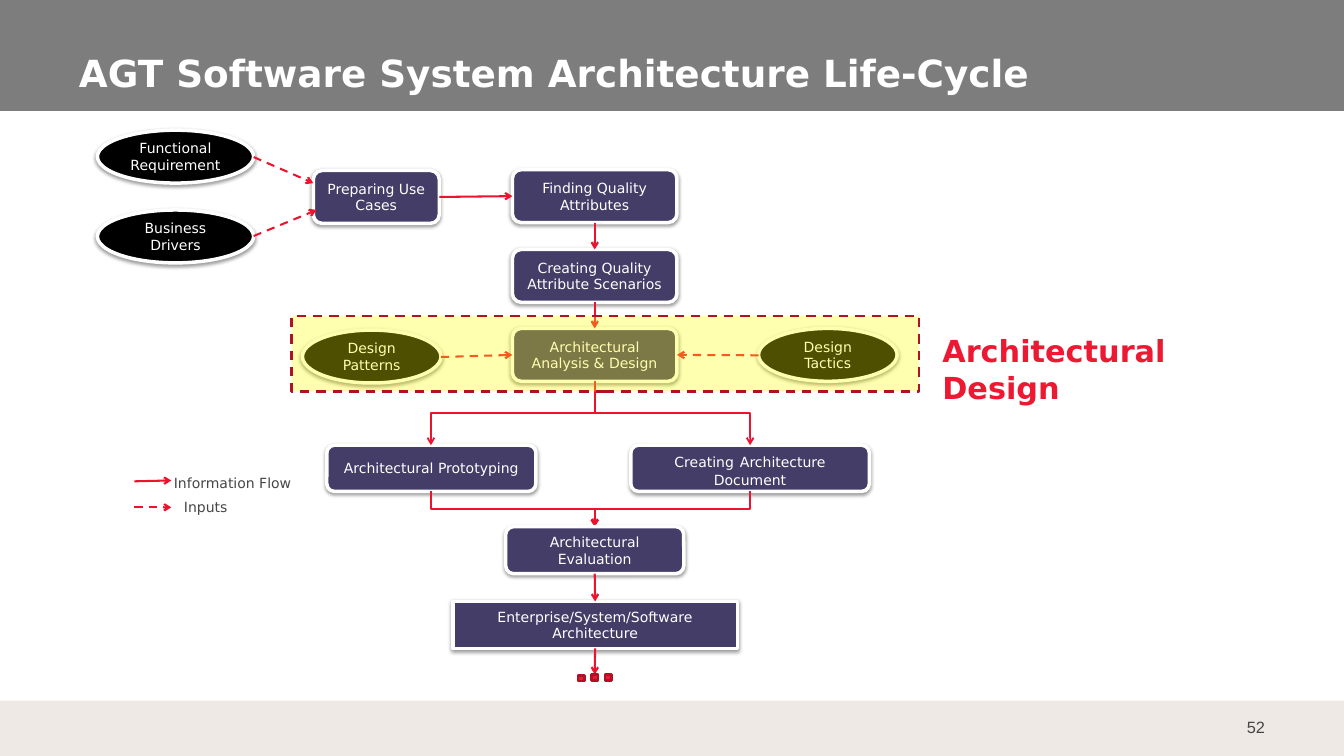
"""Build the software architecture life-cycle slide."""
from lxml import etree
from pptx import Presentation
from pptx.dml.color import RGBColor
from pptx.enum import dml, shapes, text
from pptx.oxml import ns
from pptx.util import Inches, Pt

WHITE = RGBColor(0xFF, 0xFF, 0xFF)
BLACK = RGBColor(0, 0, 0)
GRAY = RGBColor(0x7D, 0x7D, 0x7D)
BEIGE = RGBColor(0xEF, 0xE9, 0xE5)
DARK = RGBColor(0x46, 0x46, 0x46)
PURPLE = RGBColor(0x44, 0x3D, 0x67)
YELLOW = RGBColor(0xFF, 0xFF, 0x00)
RED = RGBColor(0xED, 0x13, 0x2E)
BRIGHT_RED = RGBColor(0xED, 0x19, 0x33)
DARK_RED = RGBColor(0xAF, 0x12, 0x26)
RECT, OVAL, ROUND = (shapes.MSO_SHAPE.RECTANGLE, shapes.MSO_SHAPE.OVAL,
                     shapes.MSO_SHAPE.ROUNDED_RECTANGLE)
STRAIGHT, ELBOW = shapes.MSO_CONNECTOR.STRAIGHT, shapes.MSO_CONNECTOR.ELBOW
MIDDLE, BOTTOM = text.MSO_ANCHOR.MIDDLE, text.MSO_ANCHOR.BOTTOM
LEFT, CENTER, RIGHT = text.PP_ALIGN.LEFT, text.PP_ALIGN.CENTER, text.PP_ALIGN.RIGHT
SHADOW = (f'<a:effectLst {ns.nsdecls("a")}><a:outerShdw blurRad="40000" dist="20000" '
          'dir="5400000" rotWithShape="0"><a:srgbClr val="000000"><a:alpha val="38000"/>'
          '</a:srgbClr></a:outerShdw></a:effectLst>')

prs = Presentation()
prs.slide_width, prs.slide_height = Inches(16), Inches(9)
s = prs.slides.add_slide(prs.slide_layouts[6])


def add_box(kind, at, fill, line=None, width=3, label=""):
    sp = s.shapes.add_shape(kind, *map(Inches, at))
    sp.shadow.inherit = False
    sp.fill.solid()
    sp.fill.fore_color.rgb = fill
    if line is None:
        sp.line.fill.background()
    else:
        sp.line.color.rgb = line
        sp.line.width = Pt(width)
    if label:
        props = sp._element.spPr
        props.remove(props.find(ns.qn("a:effectLst")))
        props.append(etree.fromstring(SHADOW))
        tf = sp.text_frame
        tf.word_wrap = True
        tf.vertical_anchor = MIDDLE
        tf.text = label
        for p in tf.paragraphs:
            p.alignment = CENTER
            p.font.name, p.font.size, p.font.color.rgb = "DejaVu Sans", Pt(12), WHITE
    return sp


def add_arrow(kind, start, end, width=1.75, dashed=False):
    cn = s.shapes.add_connector(kind, *map(Inches, start + end))
    cn.line.color.rgb = RED
    cn.line.width = Pt(width)
    if dashed:
        cn.line.dash_style = dml.MSO_LINE.DASH
    etree.SubElement(cn.line._get_or_add_ln(), ns.qn("a:tailEnd"), type="arrow")
    etree.SubElement(cn._element.spPr, ns.qn("a:effectLst"))
    return cn


add_box(RECT, (-0.02, 0, 16.05, 1.32), GRAY)
add_box(RECT, (0, 8.34, 16, 0.66), BEIGE)

steps = {}
for name, kind, at, fill, label in [
    ("functional", OVAL, (1.16, 1.55, 1.86, 0.63), BLACK, "Functional Requirement"),
    ("business", OVAL, (1.16, 2.5, 1.86, 0.63), BLACK, "Business Drivers"),
    ("use cases", ROUND, (3.73, 2.03, 1.5, 0.63), PURPLE, "Preparing Use Cases"),
    ("quality", ROUND, (6.1, 2.02, 1.96, 0.63), PURPLE, "Finding Quality Attributes"),
    ("scenarios", ROUND, (6.1, 2.97, 1.96, 0.63), PURPLE,
     "Creating Quality\nAttribute Scenarios"),
    ("analysis", ROUND, (6.1, 3.91, 1.96, 0.63), PURPLE, "Architectural\nAnalysis & Design"),
    ("prototyping", ROUND, (3.89, 5.3, 2.49, 0.55), PURPLE, "Architectural Prototyping"),
    ("document", ROUND, (7.51, 5.3, 2.84, 0.55), PURPLE, "Creating Architecture Document"),
    ("result", RECT, (5.39, 7.16, 3.39, 0.56), PURPLE,
     "Enterprise/System/Software Architecture"),
    ("patterns", OVAL, (3.6, 3.93, 1.65, 0.63), BLACK, "Design Patterns"),
    ("tactics", OVAL, (9.03, 3.91, 1.65, 0.63), BLACK, "Design Tactics"),
]:
    steps[name] = add_box(kind, at, fill, WHITE, label=label)

p = steps["document"].text_frame.paragraphs[0]
p.clear()
for word in ("Creating", " ", "Architecture", " ", "Document"):
    r = p.add_run()
    r.text = word
    r.font.size = Pt(16 if word == " " else 12)

for (x1, y1), (x2, y2), width in [
    ((7.08, 4.54), (5.13, 5.3), 1.5),
    ((7.08, 4.54), (8.93, 5.3), 1.5),
    ((5.13, 5.85), (7.08, 6.27), 2),
    ((8.93, 5.85), (7.08, 6.27), 2),
]:
    cx, cy, half_w, half_h = (x1 + x2) / 2, (y1 + y2) / 2, abs(x2 - x1) / 2, (y2 - y1) / 2
    turn = 1 if x2 < x1 else -1
    cn = add_arrow(ELBOW, (cx - turn * half_h, cy - half_w),
                   (cx + turn * half_h, cy + half_w), width)
    cn._element.spPr.find(ns.qn("a:xfrm")).set("rot", str(turn * 90 % 360 * 60000))

steps["evaluation"] = add_box(ROUND, (6.02, 6.27, 2.12, 0.56), PURPLE, WHITE,
                              label="Architectural Evaluation")

for start, end, dashed, source, target in [
    ((5.23, 2.34), (6.1, 2.34), False, ("use cases", 3), ("quality", 1)),
    ((7.08, 2.65), (7.08, 2.97), False, ("quality", 2), ("scenarios", 0)),
    ((7.08, 3.6), (7.08, 3.91), False, ("scenarios", 2), ("analysis", 0)),
    ((7.08, 6.83), (7.08, 7.16), False, ("evaluation", 2), ("result", 0)),
    ((7.08, 7.72), (7.08, 8.03), False, ("result", 2), None),
    ((3.02, 1.87), (3.73, 2.18), True, None, None),
    ((3.02, 2.81), (3.77, 2.5), True, None, None),
    ((5.25, 4.25), (6.1, 4.23), True, None, ("analysis", 1)),
    ((9.03, 4.23), (8.06, 4.23), True, None, ("analysis", 3)),
    ((1.6, 5.73), (2.04, 5.72), False, None, None),
    ((1.6, 6.04), (2.04, 6.04), True, None, None),
]:
    cn = add_arrow(STRAIGHT, start, end, dashed=dashed)
    if source:
        cn.begin_connect(steps[source[0]], source[1])
    if target:
        cn.end_connect(steps[target[0]], target[1])

for x, y in [(6.88, 8.04), (7.04, 8.03), (7.2, 8.03)]:
    add_box(RECT, (x, y, 0.08, 0.07), BRIGHT_RED, DARK_RED, 2)

highlight = add_box(RECT, (3.47, 3.76, 7.47, 0.9), YELLOW, DARK_RED, 2)
highlight.line.dash_style = dml.MSO_LINE.DASH
color = highlight._element.spPr.find(ns.qn("a:solidFill"))[0]
etree.SubElement(color, ns.qn("a:alpha"), val="31000")

for label, at, inset, font, size, rgb, bold, align, anchor in [
    ("AGT Software System Architecture Life-Cycle", (0.8, 0.46, 14.21, 0.74),
     (0.14, 0.07), "DejaVu Sans", 32, WHITE, True, LEFT, BOTTOM),
    ("52", (14.4, 8.42, 0.8, 0.48), (0.14, 0.07), "Arial", 14, DARK, False, RIGHT, MIDDLE),
    ("Information Flow", (2.07, 5.65, 1.42, 0.24), (0, 0),
     "DejaVu Sans", 12, DARK, False, LEFT, None),
    ("Inputs", (2.19, 5.94, 1.42, 0.24), (0, 0), "DejaVu Sans", 12, DARK, False, LEFT, None),
    ("Architectural Design", (11.12, 3.91, 4, 0.96), (0.1, 0.05),
     "DejaVu Sans", 26, BRIGHT_RED, True, LEFT, None),
]:
    tf = s.shapes.add_textbox(*map(Inches, at)).text_frame
    tf.word_wrap = True
    tf.margin_left = tf.margin_right = Inches(inset[0])
    tf.margin_top = tf.margin_bottom = Inches(inset[1])
    tf.vertical_anchor = anchor
    p = tf.paragraphs[0]
    p.text = label
    p.alignment = align
    p.font.name, p.font.size, p.font.bold = font, Pt(size), bold
    p.font.color.rgb = rgb

prs.save("out.pptx")
